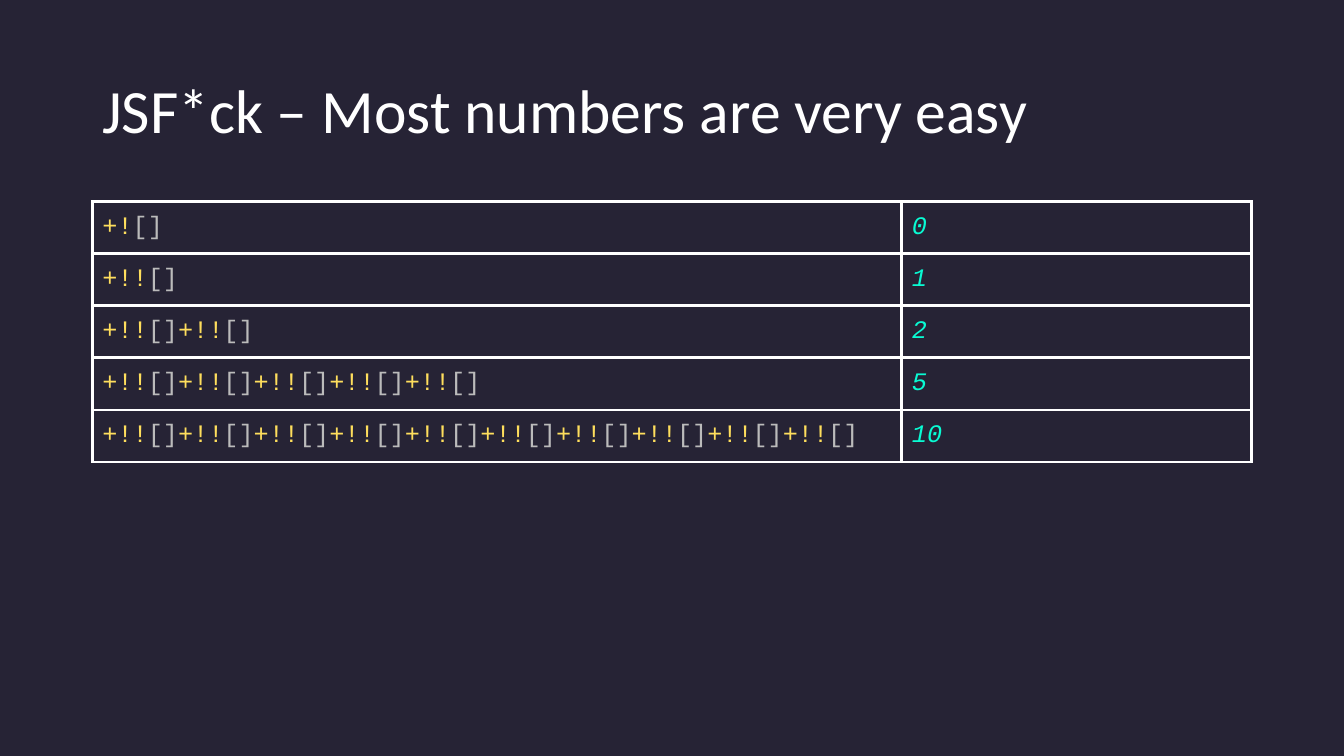
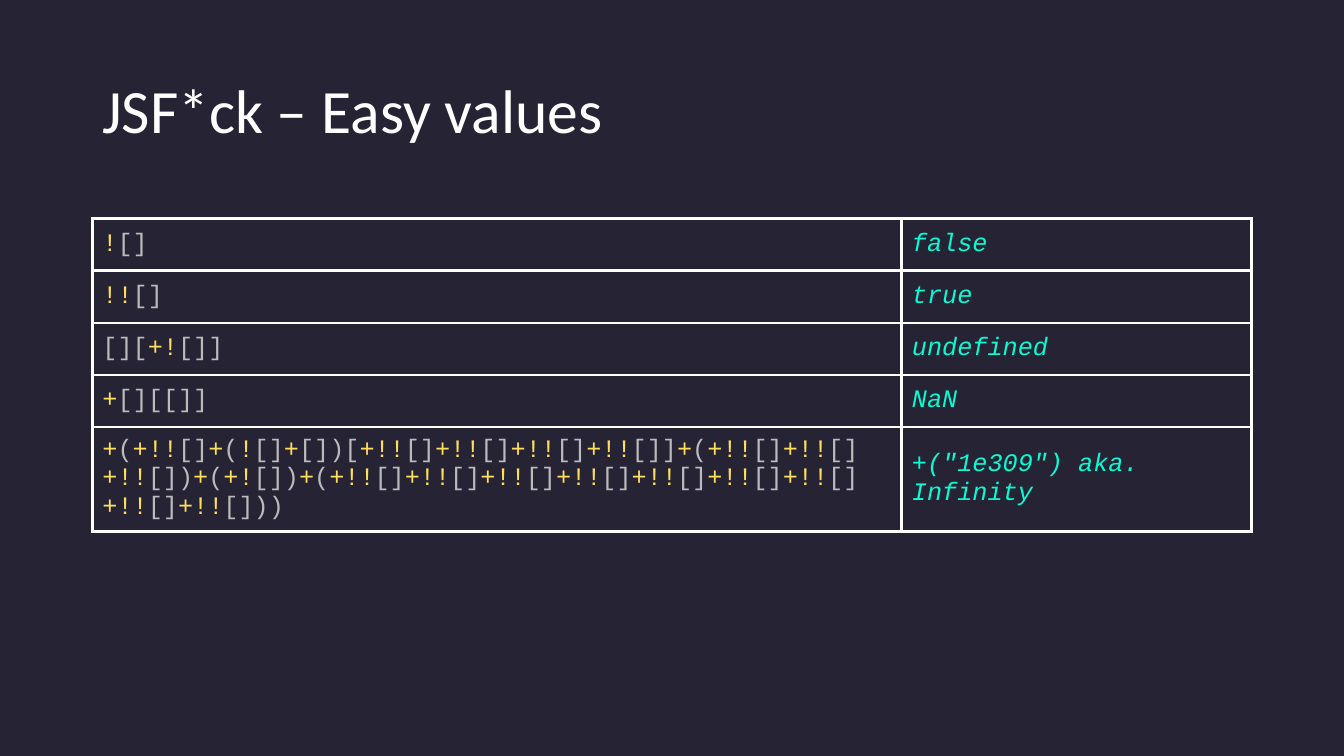
from itertools import groupby

from lxml import etree
from pptx import Presentation
from pptx.dml.color import RGBColor
from pptx.enum.text import MSO_ANCHOR
from pptx.oxml.ns import qn
from pptx.util import Pt

MIDDLE = MSO_ANCHOR.MIDDLE

# Shared colours and fonts
BACKGROUND = RGBColor(0x26, 0x23, 0x35)
WHITE = RGBColor(0xFF, 0xFF, 0xFF)
YELLOW = RGBColor(0xFE, 0xDE, 0x5D)
GREY = RGBColor(0xBB, 0xBB, 0xBB)
TEAL = RGBColor(0x09, 0xFB, 0xD3)
TITLE_FORMAT = {"name": "Calibri", "size": Pt(44)}
CODE_FORMAT = {"name": "Courier New", "size": Pt(18), "italic": False}
RESULT_FORMAT = CODE_FORMAT | {"italic": True}

# Shared measures
SLIDE_SIZE = Pt(960), Pt(540)
LEFT, WIDTH = Pt(66), Pt(828)
TITLE_BOX = LEFT, Pt(28.75), WIDTH, Pt(104.4)
CODE_WIDTH = Pt(578.2)
ROW_HEIGHT = Pt(37.2)
BORDER_WIDTH = Pt(2.25)

# Table contents: expression and its value
OPERATORS = "+!"
ONE = "+!![]"
NUMBERS = [("+![]", "0")] + [(ONE * count, str(count)) for count in (1, 2, 5, 10)]
VALUES = [
    ("![]", "false"),
    ("!![]", "true"),
    ("[][+![]]", "undefined"),
    ("+[][[]]", "NaN"),
    (f"+({ONE}+(![]+[])[{ONE * 4}]+({ONE * 3})+(+![])+({ONE * 9}))",
     '+("1e309") aka. Infinity'),
]
SLIDES = [
    ("JSF*ck – Most numbers are very easy", NUMBERS, Pt(144), {}),
    ("JSF*ck – Easy values", VALUES, Pt(156.25), {4: ROW_HEIGHT * 2}),
]


def add_run(paragraph, text, color, font_format):
    run = paragraph.add_run()
    run.text = text
    for name, value in font_format.items():
        setattr(run.font, name, value)
    run.font.color.rgb = color


def add_title(slide, text, box):
    frame = slide.shapes.add_textbox(*box).text_frame
    frame.word_wrap = True
    frame.vertical_anchor = MIDDLE
    paragraph = frame.paragraphs[0]
    paragraph.line_spacing = 0.9
    add_run(paragraph, text, WHITE, TITLE_FORMAT)


def style_cell(cell):
    cell.vertical_anchor = MIDDLE
    properties = cell._tc.get_or_add_tcPr()
    for side in ("lnL", "lnR", "lnT", "lnB"):
        line = etree.SubElement(properties, qn(f"a:{side}"), w=str(BORDER_WIDTH))
        fill = etree.SubElement(line, qn("a:solidFill"))
        etree.SubElement(fill, qn("a:srgbClr"), val=str(WHITE))
    cell.fill.background()


def add_code_table(slide, rows, left, top, width, tall_rows):
    heights = [tall_rows.get(index, ROW_HEIGHT) for index in range(len(rows))]
    table = slide.shapes.add_table(len(rows), 2, left, top, width, sum(heights)).table
    table.first_row = table.horz_banding = False
    table.columns[0].width = CODE_WIDTH
    table.columns[1].width = width - CODE_WIDTH
    for row, height, (expression, result) in zip(table.rows, heights, rows):
        row.height = height
        code_cell, result_cell = row.cells
        style_cell(code_cell)
        style_cell(result_cell)
        # Operators are yellow, brackets grey
        paragraph = code_cell.text_frame.paragraphs[0]
        for is_operator, characters in groupby(expression, lambda c: c in OPERATORS):
            color = YELLOW if is_operator else GREY
            add_run(paragraph, "".join(characters), color, CODE_FORMAT)
        add_run(result_cell.text_frame.paragraphs[0], result, TEAL, RESULT_FORMAT)


def main():
    presentation = Presentation()
    presentation.slide_width, presentation.slide_height = SLIDE_SIZE
    background = presentation.slide_master.background.fill
    background.solid()
    background.fore_color.rgb = BACKGROUND
    blank_layout = presentation.slide_layouts[6]
    for title, rows, table_top, tall_rows in SLIDES:
        slide = presentation.slides.add_slide(blank_layout)
        add_title(slide, title, TITLE_BOX)
        add_code_table(slide, rows, LEFT, table_top, WIDTH, tall_rows)
    presentation.save("out.pptx")


if __name__ == "__main__":
    main()
